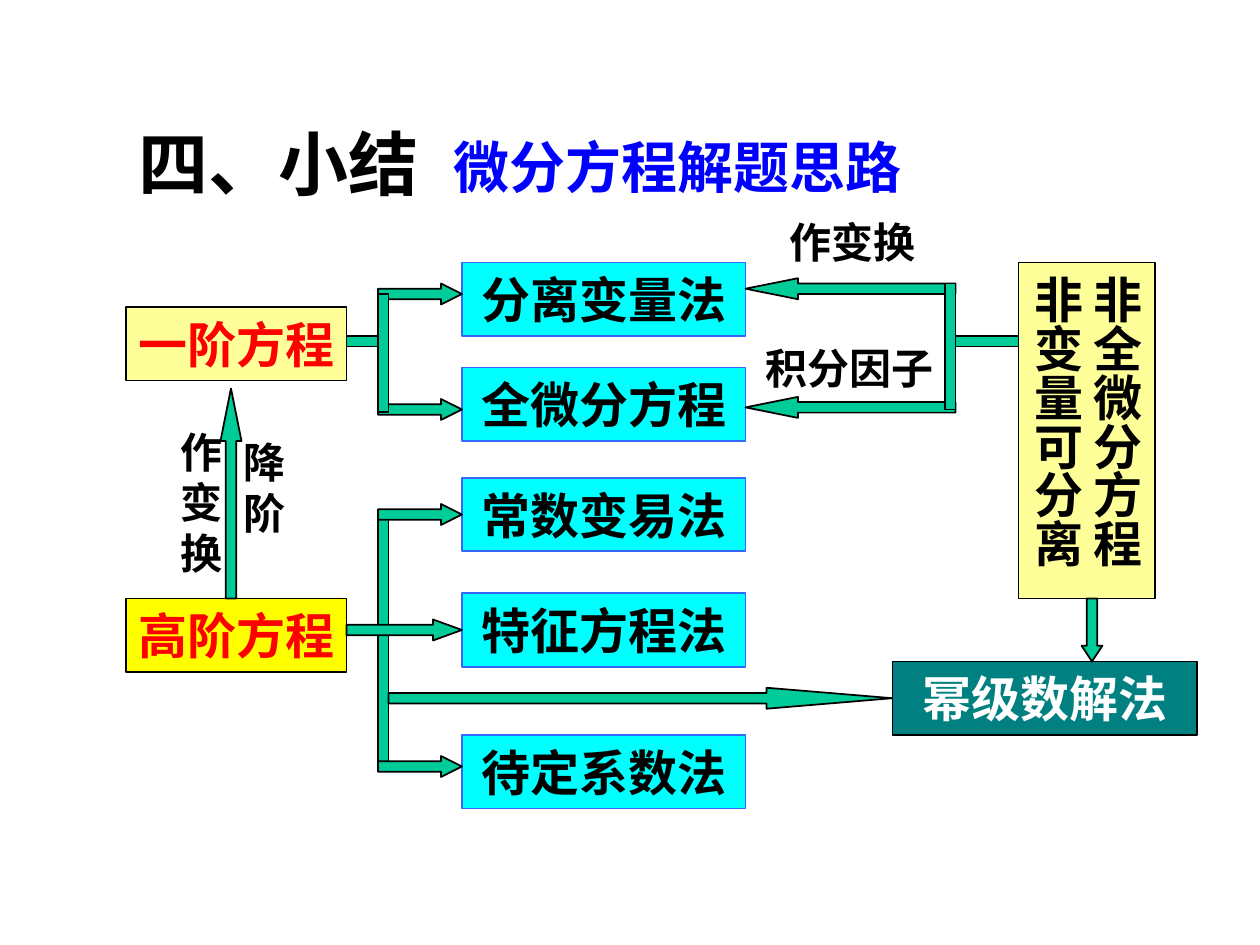
from dataclasses import dataclass

from pptx import Presentation
from pptx import util as u
from pptx.dml.color import RGBColor
from pptx.enum import shapes, text

COLS, ROWS = 120, 90
CELL = u.Inches(10) // COLS
KIND = shapes.MSO_SHAPE


@dataclass(frozen=True)
class Theme:
    black: str = "000000"
    white: str = "FFFFFF"
    red: str = "FF0000"
    blue: str = "0000FF"
    cream: str = "FFFF99"
    yellow: str = "FFFF00"
    cyan: str = "00FFFF"
    edge: str = "3366FF"
    teal: str = "008080"
    green: str = "00CC99"
    head: int = 40
    sub: int = 32
    box: int = 28
    label: int = 24
    face: str = "Times New Roman"
    title: str = "Noto Sans CJK SC"


T = Theme()


def write(frame, lines, size, color, face=T.face, align=text.PP_ALIGN.LEFT):
    frame.text = lines
    for para in frame.paragraphs:
        para.alignment = align
        font = para.font
        font.name, font.size, font.bold = face, u.Pt(size), True
        font.color.rgb = RGBColor.from_string(color)


class Zone:
    """A region of the grid; its parts are placed in cells from its corner."""

    def __init__(self, slide, x, y):
        self.slide, self.x, self.y = slide, x, y

    def rect(self, x, y, w, h):
        return [round(n * CELL) for n in (self.x + x, self.y + y, w, h)]

    def shape(self, kind, x, y, w, h, fill=T.green, edge=T.black):
        item = self.slide.shapes.add_shape(kind, *self.rect(x, y, w, h))
        item.shadow.inherit = False
        item.fill.solid()
        item.fill.fore_color.rgb = RGBColor.from_string(fill)
        item.line.color.rgb = RGBColor.from_string(edge)
        item.line.width = u.Pt(1)
        return item

    def bar(self, x, y, w, h):
        self.shape(KIND.RECTANGLE, x, y, w, h)

    def arrow(self, kind, x, y, w, h, head):
        item = self.shape(kind, x, y, w, h)
        item.adjustments[0] = 0.5
        item.adjustments[1] = head / min(w, h)

    def box(self, words, x, y, w, h=7, fill=T.cyan, edge=T.black, color=T.black):
        item = self.shape(KIND.RECTANGLE, x, y, w, h, fill, edge)
        frame = item.text_frame
        frame.word_wrap = False
        frame.vertical_anchor = text.MSO_ANCHOR.MIDDLE
        write(frame, words, T.box, color, align=text.PP_ALIGN.CENTER)
        return frame

    def method(self, words, x, y):
        self.box(words, x, y, 27, edge=T.edge)

    def label(self, words, x, y, w, h, size=T.label, color=T.black):
        frame = self.slide.shapes.add_textbox(*self.rect(x, y, w, h)).text_frame
        frame.word_wrap = True
        frame.auto_size = text.MSO_AUTO_SIZE.SHAPE_TO_FIT_TEXT
        write(frame, words, size, color)


def heading(zone):
    title = zone.slide.shapes.title
    title.left, title.top, title.width, title.height = zone.rect(0, 0, 99, 15)
    frame = title.text_frame
    frame.auto_size = text.MSO_AUTO_SIZE.NONE
    frame.vertical_anchor = text.MSO_ANCHOR.MIDDLE
    write(frame, "四、小结", T.head, T.black, T.title)
    zone.label("微分方程解题思路", 30, 4, 57, 7.75, T.sub, T.blue)


def first(zone):
    zone.box("一阶方程", 0, 4.25, 21, fill=T.cream, color=T.red)
    for words, y in (("分离变量法", 0), ("全微分方程", 10)):
        zone.method(words, 32, y)
    for y in (2, 13):
        zone.arrow(KIND.RIGHT_ARROW, 24, y, 8, 2, 2)
    # Trunk and stem
    zone.bar(24, 3, 1, 11.25)
    zone.bar(21, 7, 3, 1)


def higher(zone):
    zone.box("高阶方程", 0, 20, 21, fill=T.yellow, color=T.red)
    for words, y in (("常数变易法", 8.5), ("特征方程法", 19.5), ("待定系数法", 33)):
        zone.method(words, 32, y)
    # Reduction of order
    zone.arrow(KIND.UP_ARROW, 9, 0, 2, 20, 5)
    # Trunk and its branches
    zone.bar(24, 12, 1, 24)
    branches = ((24, 11, 8, 2), (21, 22, 11, 2.75), (24, 35, 8, 2), (25, 28.5, 48, 12))
    for x, y, w, head in branches:
        zone.arrow(KIND.RIGHT_ARROW, x, y, w, 2, head)
    zone.label("降阶", 10, 4, 7, 10.75)
    zone.label("作变换", 4, 3, 7, 15.5)


def other(zone):
    zone.bar(19, 12, 7, 1)
    # Upright box, read from right to left
    frame = zone.box("非全微分方程\n非变量可分离", 26, 5, 13, 32, T.cream)
    frame._txBody.bodyPr.set("vert", "eaVert")
    frame.margin_left = frame.margin_right = u.Inches(0.05)
    frame.margin_top = frame.margin_bottom = u.Inches(0.1)
    zone.box("幂级数解法", 14, 43, 29, fill=T.teal, color=T.white)
    # Arrows and trunk
    zone.arrow(KIND.DOWN_ARROW, 32, 37, 2, 6, 1.5)
    for y in (6.5, 17.8):
        zone.arrow(KIND.LEFT_ARROW, 0, y, 20, 2, 5)
    zone.bar(19, 7, 1, 12)
    zone.label("作变换", 3, 0, 17, 6)
    zone.label("积分因子", 0.75, 12, 19, 6)


def main():
    deck = Presentation()
    deck.slide_width, deck.slide_height = COLS * CELL, ROWS * CELL
    slide = deck.slides.add_slide(deck.slide_layouts[5])
    heading(Zone(slide, 12, 8))
    first(Zone(slide, 12, 25))
    higher(Zone(slide, 12, 37))
    other(Zone(slide, 71, 20))
    deck.save("out.pptx")


if __name__ == "__main__":
    main()
